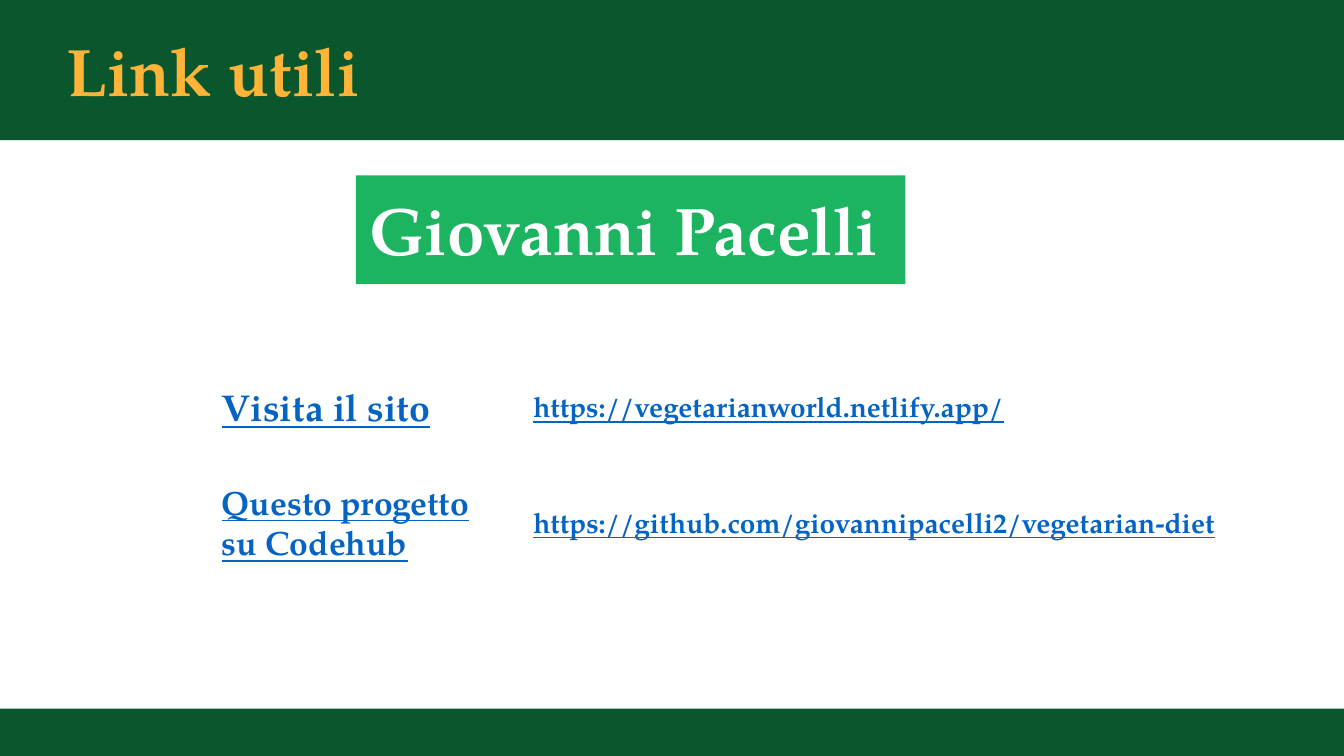
"""Build the useful links slide with its title band, author label and link rows."""
from dataclasses import dataclass

from pptx import Presentation
from pptx.dml.color import RGBColor
from pptx.enum.shapes import MSO_SHAPE
from pptx.enum.text import MSO_ANCHOR, MSO_AUTO_SIZE, PP_ALIGN
from pptx.util import Inches, Pt


@dataclass(frozen=True)
class Theme:
    """Hold the colours, font and type sizes of the slide."""
    band: str = "0B572D"
    label: str = "1CB361"
    title: str = "FFB337"
    light: str = "FFFFFF"
    link: str = "0563C1"
    font: str = "TeX Gyre Pagella"
    heading_size: float = 48
    site_size: float = 26.7
    project_size: float = 24
    address_size: float = 20


THEME = Theme()
WIDTH, HEIGHT = 13.33, 7.5
INSET = 0.13


def set_attributes(target, values):
    """Set each named value on the target."""
    for name, value in values.items():
        setattr(target, name, value)


def write_text(shape, text, size, color, underline=False):
    """Write one bold paragraph into the shape."""
    frame = shape.text_frame
    margins = {f"margin_{side}": Inches(INSET) for side in ("left", "top", "right", "bottom")}
    set_attributes(frame, {
        **margins, "word_wrap": True, "vertical_anchor": MSO_ANCHOR.TOP,
        "auto_size": MSO_AUTO_SIZE.SHAPE_TO_FIT_TEXT,
    })
    paragraph = frame.paragraphs[0]
    paragraph.alignment = PP_ALIGN.LEFT
    run = paragraph.add_run()
    run.text = text
    set_attributes(run.font, {
        "name": THEME.font, "size": Pt(size), "bold": True, "underline": underline,
    })
    run.font.color.rgb = RGBColor.from_string(color)


def add_block(slide, box, color, kind=MSO_SHAPE.RECTANGLE):
    """Add a plain filled shape in the box."""
    shape = slide.shapes.add_shape(kind, *map(Inches, box))
    shape.shadow.inherit = False
    shape.fill.solid()
    shape.fill.fore_color.rgb = RGBColor.from_string(color)
    shape.line.fill.background()
    return shape


def add_header(slide, box):
    """Add the title band and its title."""
    left, top, width, height = box
    add_block(slide, box, THEME.band)
    title = slide.shapes.add_textbox(*map(Inches, (left + 0.53, top + 0.16, 6.13, 1.08)))
    write_text(title, "Link utili", THEME.heading_size, THEME.title)


def add_footer(slide, box):
    """Add the band at the foot of the slide."""
    band = add_block(slide, box, THEME.band, MSO_SHAPE.ROUND_2_SAME_RECTANGLE)
    band.adjustments[0] = 0
    band.adjustments[1] = 0


def add_author(slide, box):
    """Add the label with the author's name."""
    label = add_block(slide, box, THEME.label)
    write_text(label, "Giovanni Pacelli", THEME.heading_size, THEME.light)


def add_link_row(slide, box, caption, caption_size, caption_box, address):
    """Add a caption and its address, both centred on the row's height."""
    left, top, width, height = box
    caption_width, caption_height = caption_box
    address_left, address_height = 3.09, 0.61
    parts = (
        (caption, caption_size, 0, caption_width, caption_height),
        (address, THEME.address_size, address_left, width - address_left, address_height),
    )
    for text, size, offset, part_width, part_height in parts:
        part_top = top + (height - part_height) / 2
        part = slide.shapes.add_textbox(
            *map(Inches, (left + offset, part_top, part_width, part_height)))
        write_text(part, text, size, THEME.link, underline=True)


def main():
    """Build and save the presentation."""
    presentation = Presentation()
    set_attributes(presentation, {"slide_width": Inches(WIDTH), "slide_height": Inches(HEIGHT)})
    slide = presentation.slides.add_slide(presentation.slide_layouts[6])
    add_footer(slide, (0, 7.03, WIDTH, 0.47))
    add_header(slide, (0, 0, WIDTH, 1.39))
    add_author(slide, (3.53, 1.74, 5.45, 1.08))
    add_link_row(slide, (2.07, 3.68, 9.69, 0.72), "Visita il sito", THEME.site_size,
                 (2.41, 0.72), "https://vegetarianworld.netlify.app/")
    add_link_row(slide, (2.07, 4.65, 10.67, 1.08), "Questo progetto su Codehub",
                 THEME.project_size, (3.08, 1.08),
                 "https://github.com/giovannipacelli2/vegetarian-diet")
    presentation.save("out.pptx")


if __name__ == "__main__":
    main()
